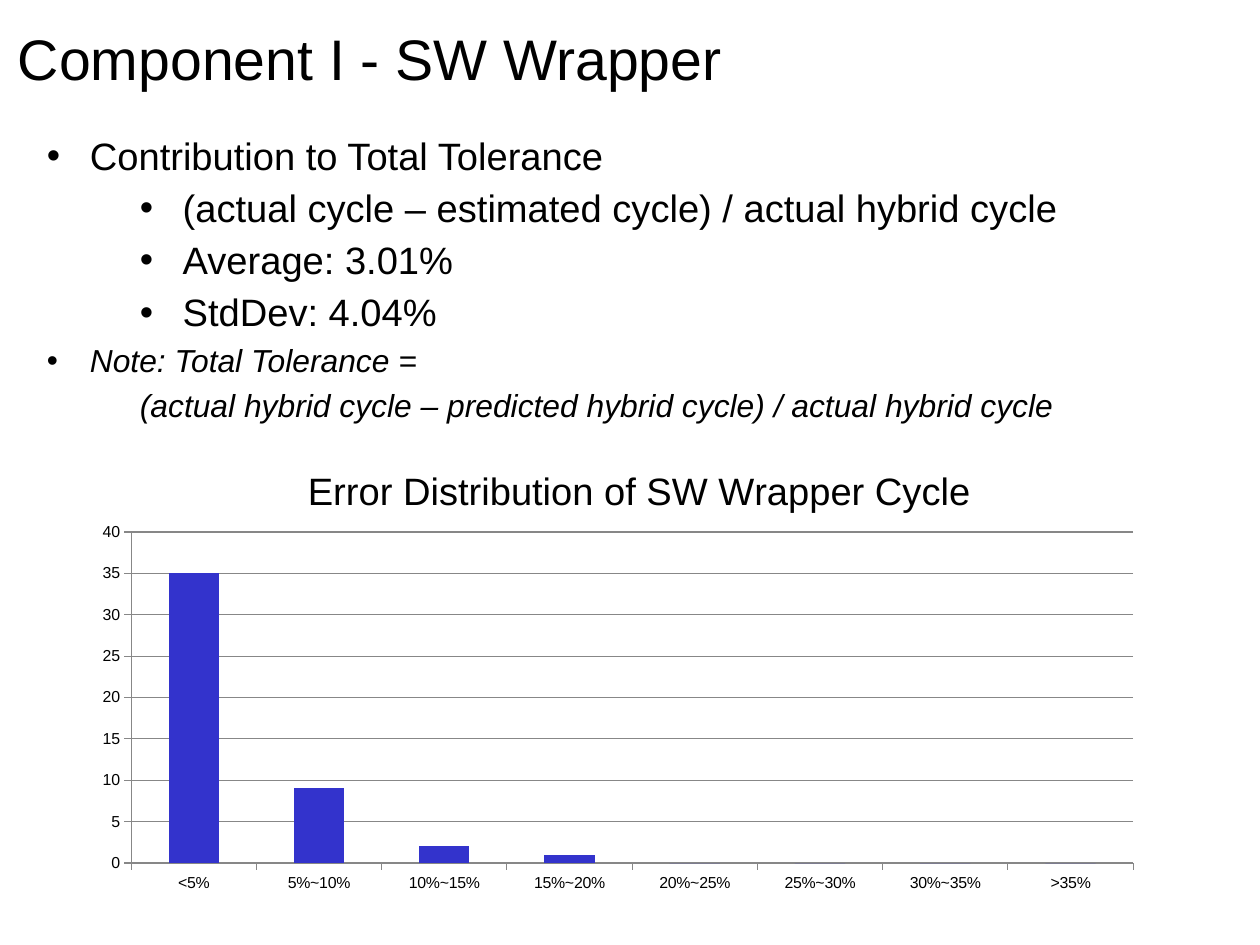
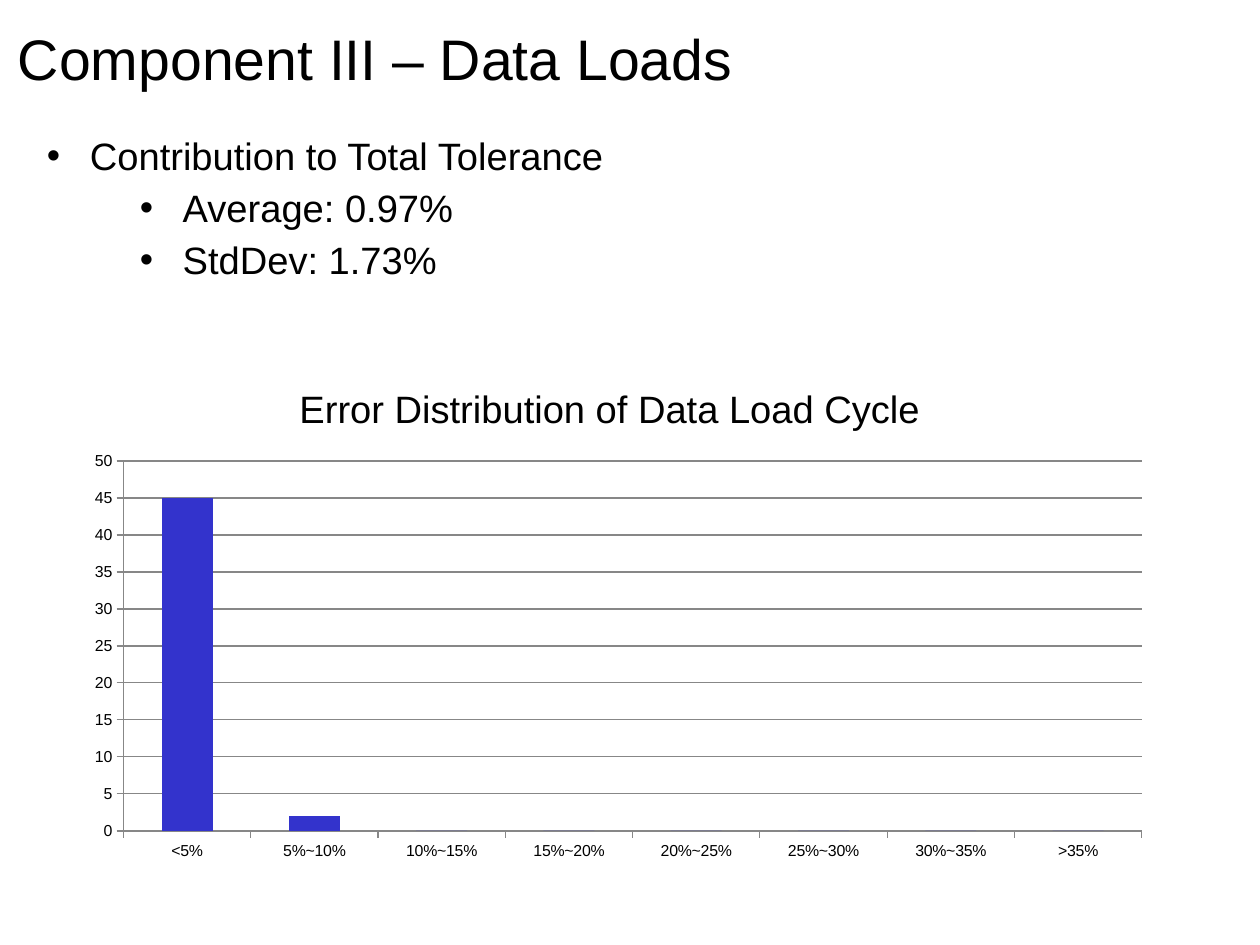
from dataclasses import dataclass

from lxml.etree import SubElement
from pptx import Presentation
from pptx.chart.data import CategoryChartData
from pptx.dml.color import RGBColor
from pptx.enum.chart import XL_CHART_TYPE, XL_TICK_MARK
from pptx.enum.text import MSO_ANCHOR, MSO_AUTO_SIZE, PP_ALIGN
from pptx.oxml.ns import qn
from pptx.util import Pt

BINS = ["<5%", "5%~10%", "10%~15%", "15%~20%", "20%~25%", "25%~30%", "30%~35%", ">35%"]

# Each list line is (style, text); boxes are left, top, width, height in points.
# Chart title offsets are percentages of the chart's width and height.
SLIDES = [
    {
        "title": "Component I - SW Wrapper",
        "lines": [
            ("point", "Contribution to Total Tolerance"),
            ("sub", "(actual cycle – estimated cycle) / actual hybrid cycle"),
            ("sub", "Average: 3.01%"),
            ("sub", "StdDev: 4.04%"),
            ("note", "Note: Total Tolerance = "),
            ("formula", "(actual hybrid cycle – predicted hybrid cycle) / actual hybrid cycle"),
        ],
        "list_height": 190.8,
        "chart_title": "Error Distribution of SW Wrapper Cycle",
        "chart_title_at": {"x": 22.8, "y": 3},
        "counts": (35, 9, 2, 1, 0, 0, 0, 0),
        "axis_max": 40,
        "chart_box": (28.1, 280.7, 708.5, 294.2),
    },
    {
        "title": "Component III – Data Loads",
        "lines": [
            ("point", "Contribution to Total Tolerance"),
            ("sub", "Average: 0.97%"),
            ("sub", "StdDev: 1.73%"),
        ],
        "list_height": 100.8,
        "chart_title": "Error Distribution of Data Load Cycle",
        "chart_title_at": {"x": 22.5, "y": 2.5},
        "counts": (45, 2, 0, 0, 0, 0, 0, 0),
        "axis_max": 50,
        "chart_box": (22.3, 229.6, 720, 328.7),
    },
]


@dataclass(frozen=True)
class Theme:
    """Colours, type sizes and spacing shared by the slides."""
    font: str = "Arial"
    text: RGBColor = RGBColor(0x00, 0x00, 0x00)
    bar: RGBColor = RGBColor(0x33, 0x33, 0xCC)
    grid: RGBColor = RGBColor(0x87, 0x87, 0x87)
    title: int = 36
    body: int = 24
    note: int = 20
    axis: int = 10
    line_spacing: float = 0.93
    space_before: int = 6


T = Theme()
SLIDE_SIZE = (793.75, 595.25)
TITLE_BOX = (11.25, 2.9, 680.4, 68.4)
LIST_LEFT, LIST_TOP, LIST_WIDTH = 22.4, 82.1, 731.5

# Style: level, left margin, first-line indent, size, italic, bullet
LINE_STYLES = {
    "point": (0, 27, -27, T.body, False, True),
    "sub": (1, 85.5, -27, T.body, False, True),
    "note": (0, 27, -27, T.note, True, True),
    "formula": (1, 58.5, 0, T.note, True, False),
}

# Percentages of the chart's width and height
PLOT_LAYOUT = {"x": 7.7, "y": 18.5, "w": 89.1, "h": 70.9}


def place(shape, box):
    """Move and size a shape to a box in points."""
    shape.left, shape.top, shape.width, shape.height = map(Pt, box)


def style_font(font, size, italic=False):
    """Apply the shared face and colour at a given size."""
    font.name, font.size = T.font, Pt(size)
    font.bold, font.italic = False, italic
    font.color.rgb = T.text


def set_bullet(p, margin, indent, bullet):
    """Set a paragraph's indents and bullet mark."""
    pPr = p._p.get_or_add_pPr()
    pPr.set("marL", str(Pt(margin)))
    pPr.set("indent", str(Pt(indent)))
    if not bullet:
        SubElement(pPr, qn("a:buNone"))
        return
    SubElement(SubElement(pPr, qn("a:buClr")), qn("a:srgbClr"), val=str(T.text))
    SubElement(pPr, qn("a:buFont"), typeface=T.font)
    SubElement(pPr, qn("a:buChar"), char="•")


def set_title(s, text):
    """Fill the title placeholder."""
    place(s.shapes.title, TITLE_BOX)
    tf = s.shapes.title.text_frame
    tf.text = text
    tf.auto_size = MSO_AUTO_SIZE.NONE
    tf.vertical_anchor = MSO_ANCHOR.MIDDLE
    tf.margin_left = tf.margin_right = tf.margin_bottom = 0
    tf.margin_top = Pt(2.9)
    p = tf.paragraphs[0]
    p.alignment, p.line_spacing = PP_ALIGN.LEFT, T.line_spacing
    style_font(p.runs[0].font, T.title)


def set_list(s, lines, height):
    """Fill the body placeholder with styled lines."""
    body = s.placeholders[1]
    place(body, (LIST_LEFT, LIST_TOP, LIST_WIDTH, height))
    tf = body.text_frame
    tf.text = "\n".join(text for _, text in lines)
    tf.auto_size = MSO_AUTO_SIZE.SHAPE_TO_FIT_TEXT
    for p, (style, _) in zip(tf.paragraphs, lines):
        p.level, margin, indent, size, italic, bullet = LINE_STYLES[style]
        p.line_spacing, p.space_before = T.line_spacing, Pt(T.space_before)
        set_bullet(p, margin, indent, bullet)
        style_font(p.runs[0].font, size, italic)


def set_layout(element, percents, inner=False):
    """Position a chart part by percentages of the chart area."""
    layout = element.find(qn("c:layout"))
    if layout is None:
        layout = SubElement(element, qn("c:layout"))
        anchor = element.find(qn("c:tx"))
        if anchor is None:
            element.insert(0, layout)
        else:
            anchor.addnext(layout)
    manual = SubElement(layout, qn("c:manualLayout"))
    if inner:
        SubElement(manual, qn("c:layoutTarget"), val="inner")
    for key in ("x", "y"):
        SubElement(manual, qn(f"c:{key}Mode"), val="edge")
    for key, percent in percents.items():
        SubElement(manual, qn(f"c:{key}"), val=str(percent / 100))


def style_line(line):
    """Draw a thin grey chart line."""
    line.color.rgb, line.width = T.grid, Pt(0.75)


def add_error_chart(s, content):
    """Add a column chart of the error distribution."""
    data = CategoryChartData()
    data.categories = BINS
    data.add_series("Series 1", content["counts"])
    box = map(Pt, content["chart_box"])
    chart = s.shapes.add_chart(XL_CHART_TYPE.COLUMN_CLUSTERED, *box, data).chart
    style_font(chart.font, T.axis)
    chart.has_legend = False

    chart.has_title = True
    p = chart.chart_title.text_frame.paragraphs[0]
    p.text = content["chart_title"]
    style_font(p.runs[0].font, T.body)
    set_layout(chart.chart_title._element, content["chart_title_at"])

    plot = chart.plots[0]
    plot.gap_width, plot.vary_by_categories = 150, False
    fill = plot.series[0].format.fill
    fill.solid()
    fill.fore_color.rgb = T.bar
    set_layout(chart._chartSpace.chart.plotArea, PLOT_LAYOUT, inner=True)

    for axis in (chart.category_axis, chart.value_axis):
        axis.major_tick_mark, axis.minor_tick_mark = XL_TICK_MARK.OUTSIDE, XL_TICK_MARK.NONE
        style_line(axis.format.line)
    values = chart.value_axis
    values.minimum_scale, values.maximum_scale, values.major_unit = 0, content["axis_max"], 5
    values.has_major_gridlines = True
    style_line(values.major_gridlines.format.line)


def main():
    """Build and save the presentation."""
    prs = Presentation()
    prs.slide_width, prs.slide_height = map(Pt, SLIDE_SIZE)
    for content in SLIDES:
        s = prs.slides.add_slide(prs.slide_layouts[1])
        set_title(s, content["title"])
        set_list(s, content["lines"], content["list_height"])
        add_error_chart(s, content)
    prs.save("out.pptx")


main()
